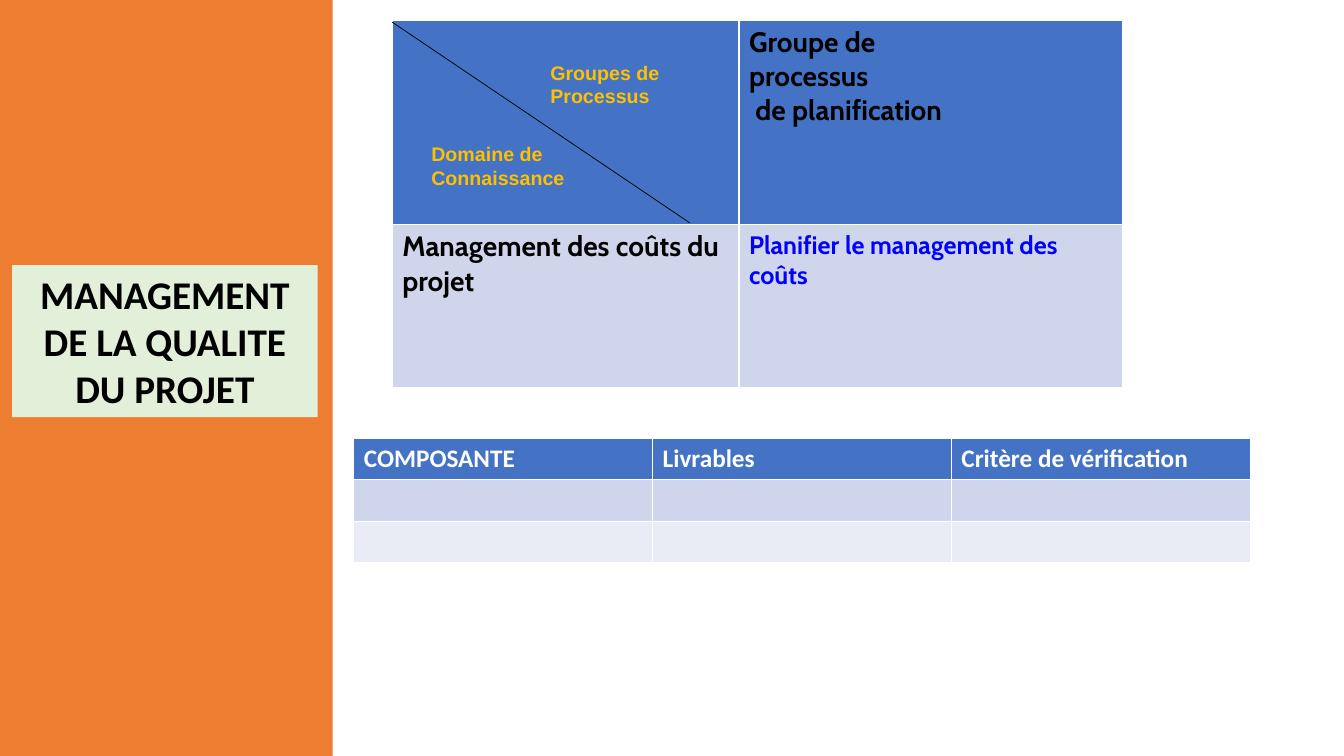
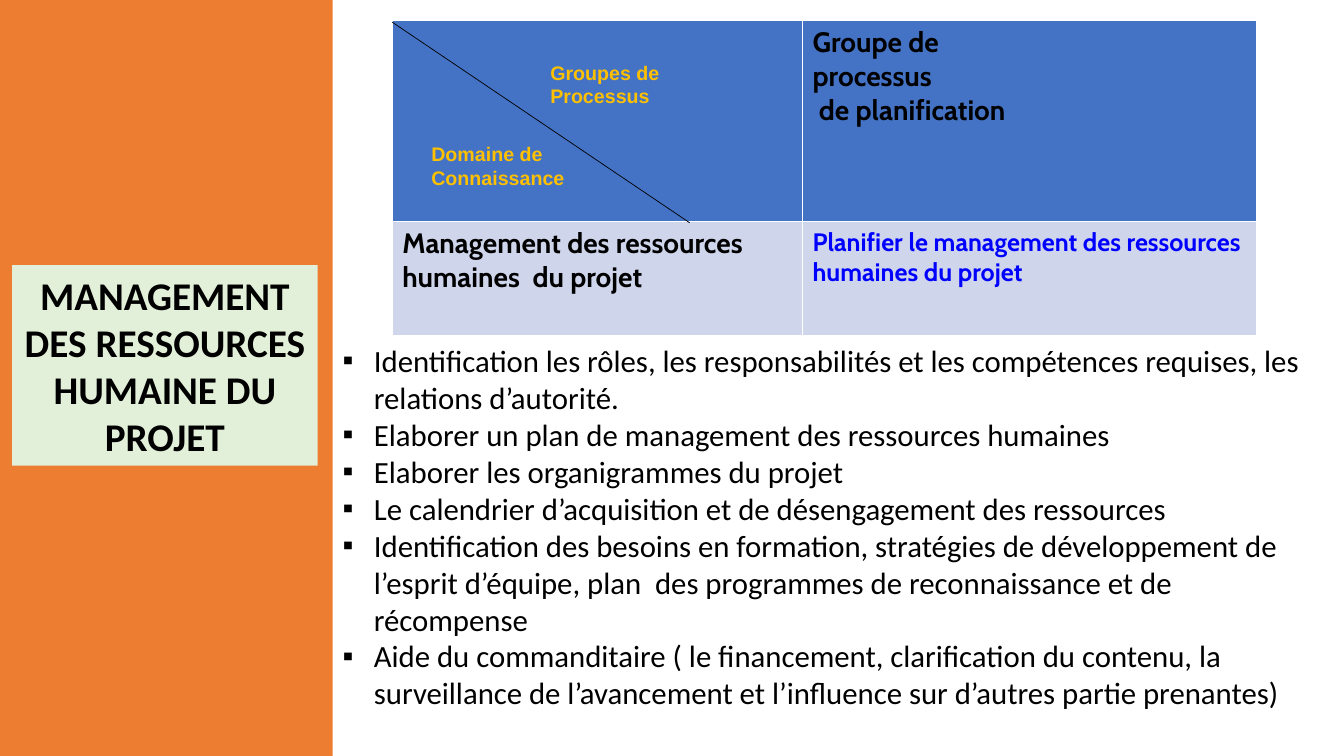
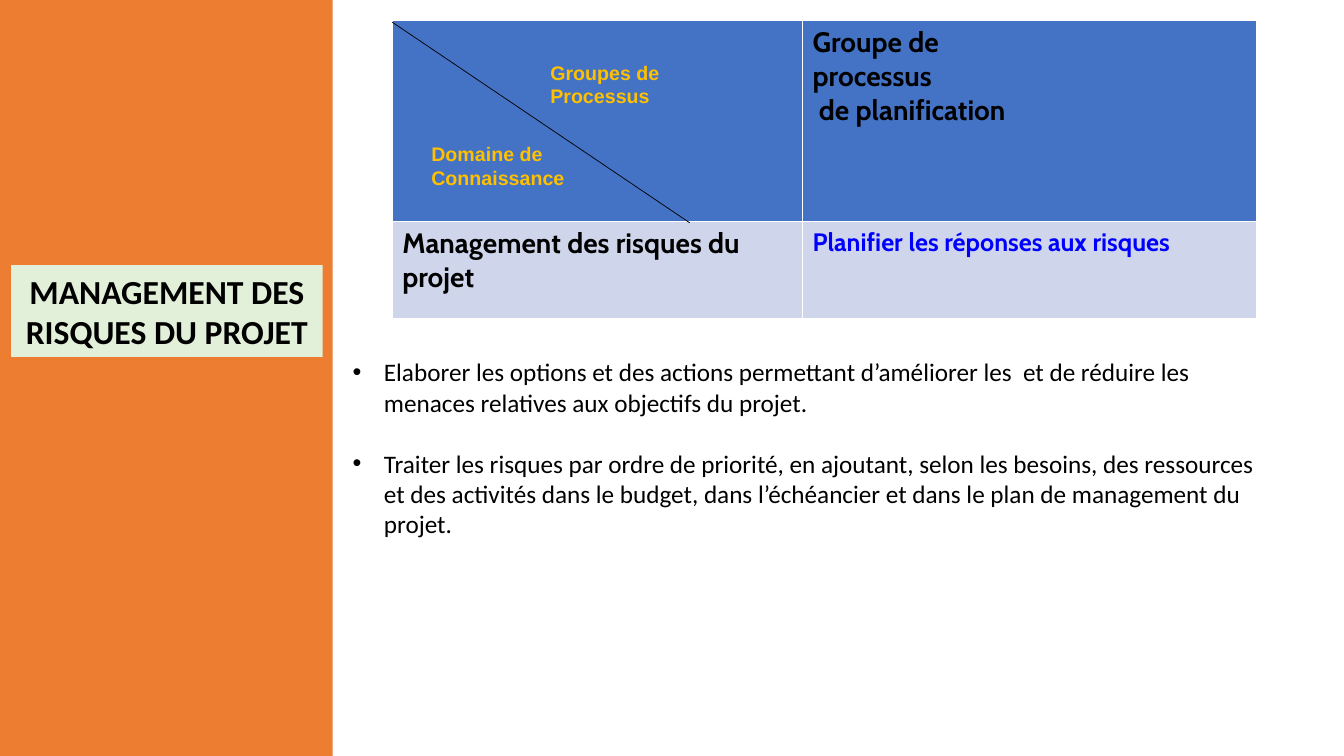
from lxml import etree
from pptx import Presentation
from pptx.dml.color import RGBColor
from pptx.enum.shapes import MSO_CONNECTOR, MSO_SHAPE
from pptx.enum.text import MSO_ANCHOR, MSO_AUTO_SIZE, PP_ALIGN
from pptx.oxml.ns import qn
from pptx.util import Pt

RECT = MSO_SHAPE.RECTANGLE
LINE = MSO_CONNECTOR.STRAIGHT
LEFT, CENTER = PP_ALIGN.LEFT, PP_ALIGN.CENTER
MIDDLE = MSO_ANCHOR.MIDDLE
FIXED, GROW = MSO_AUTO_SIZE.NONE, MSO_AUTO_SIZE.SHAPE_TO_FIT_TEXT

# Shared look; 100 px make one inch
PX = 9144
WIDE, HIGH = 1333, 750
BAND = 330
TITLE_TOP = 263
ORANGE, GREEN, BLUE = "ED7D31", "E2F0D9", "4472C4"
PALE, FAINT = "CFD5EA", "E9EBF5"
BLACK, WHITE, GOLD, LINK = "000000", "FFFFFF", "FFC000", "0000FF"
BODY, HEAD, LABEL = "Calibri", "Cabin", "Arial"


def px(*nums):
    return [round(n * PX) for n in nums]


def color(code):
    return RGBColor.from_string(code)


def paint(part, code):
    part.fill.solid()
    part.fill.fore_color.rgb = color(code)


def write(frame, lines, size=18, font=BODY, tint=BLACK, bold=False,
          align=LEFT, mark=None, left=0, hang=0, gap=0):
    """Fill a text frame, one paragraph for each line."""
    frame.word_wrap = True
    for i, line in enumerate(lines):
        para = frame.add_paragraph() if i else frame.paragraphs[0]
        para.text = line
        para.alignment = align
        para.line_spacing = 1.0
        para.space_before = Pt(gap if i else 0)
        props = para._p.get_or_add_pPr()
        props.set("marL", str(left * PX))
        props.set("indent", str(-hang * PX))
        if mark:
            etree.SubElement(props, qn("a:buFont")).set("typeface", LABEL)
            etree.SubElement(props, qn("a:buChar")).set("char", mark)
        for run in para.runs:
            run.font.size = Pt(size)
            run.font.name = font
            run.font.bold = bold
            run.font.color.rgb = color(tint)


def text_box(slide, box, lines, **style):
    frame = slide.shapes.add_textbox(*px(*box)).text_frame
    write(frame, lines, **style)
    frame.auto_size = GROW


def side_band(slide, text, box, size=28):
    """Orange band with the title on a green panel."""
    title = slide.shapes.title
    band = slide.shapes.add_shape(RECT, *px(0, 0, BAND, HIGH))
    band.shadow.inherit = False
    paint(band, ORANGE)
    band.line.fill.background()
    title.element.addprevious(band.element)  # band goes behind the title

    title.left, title.top, title.width, title.height = px(*box)
    paint(title, GREEN)
    frame = title.text_frame
    frame.auto_size = FIXED
    frame.vertical_anchor = MIDDLE
    write(frame, [text], size=size, bold=True, align=CENTER)


def grid(slide, x, y, cols, rows, fills):
    """Table with one fill for each row."""
    box = px(x, y, sum(cols), sum(rows))
    table = slide.shapes.add_table(len(rows), len(cols), *box).table
    for col, wide in zip(table.columns, px(*cols)):
        col.width = wide
    for row, high, fill in zip(table.rows, px(*rows), fills):
        row.height = high
        for cell in row.cells:
            paint(cell, fill)
    return table


def matrix(slide, x, y, cols, rows, domain, process):
    """Process matrix with a split corner cell."""
    table = grid(slide, x, y, cols, rows, [BLUE, PALE])
    group = "Groupe de \nprocessus\n de planification"
    for r, c, text, size, tint in ((0, 1, group, 20, BLACK),
                                   (1, 0, domain, 20, BLACK),
                                   (1, 1, process, 18, LINK)):
        write(table.cell(r, c).text_frame, [text], size=size, font=HEAD,
              tint=tint, bold=True)

    # Diagonal and its two labels
    line = slide.shapes.add_connector(LINE, *px(x, y + 2, x + 295, y + 201))
    line.line.color.rgb = color(BLACK)
    line.line.width = Pt(0.5)
    etree.SubElement(line._element.spPr, qn("a:effectLst"))
    for dx, dy, wide, lines in ((59, 35, 236, ["Groupes de", "Processus"]),
                                (-59, 116, 260, ["Domaine de", "Connaissance"])):
        text_box(slide, (x + dx, y + dy, wide, 81), lines, size=14,
                 font=LABEL, tint=GOLD, bold=True, left=88)


def bullets(slide, box, lines, **style):
    text_box(slide, box, lines, left=31, hang=31, **style)


def checks(slide, x, y, wide, heads):
    """Table of deliverables with empty rows."""
    cols = [wide / len(heads)] * len(heads)
    table = grid(slide, x, y, cols, [41] * 3, [BLUE, PALE, FAINT])
    for cell, head in zip(table.rows[0].cells, heads):
        write(cell.text_frame, [head], tint=WHITE, bold=True)


def main():
    deck = Presentation()
    deck.slide_width, deck.slide_height = px(WIDE, HIGH)
    layout = deck.slide_layouts[5]
    broad = (407, 450)

    # Quality
    slide = deck.slides.add_slide(layout)
    side_band(slide, "MANAGEMENT DE LA QUALITE DU PROJET",
              (12, TITLE_TOP, 303, 151))
    matrix(slide, 389, 20, (344, 380), (203, 162),
           "Management des coûts du projet",
           "Planifier le management des coûts")
    checks(slide, 351, 435, 889,
           ["COMPOSANTE", "Livrables", "Critère de vérification"])

    # Human resources
    slide = deck.slides.add_slide(layout)
    side_band(slide, "MANAGEMENT DES RESSOURCES HUMAINE DU PROJET",
              (12, TITLE_TOP, 303, 199))
    matrix(slide, 389, 20, broad, (200, 113),
           "Management des ressources humaines  du projet",
           "Planifier le management des ressources humaines du projet")
    bullets(slide, (330, 334, 985, 417), [
        "Identification les rôles, les responsabilités et les compétences "
        "requises, les relations d’autorité.",
        "Elaborer un plan de management des ressources humaines",
        "Elaborer les organigrammes du projet",
        "Le calendrier d’acquisition et de désengagement des ressources",
        "Identification des besoins en formation, stratégies de développement "
        "de l’esprit d’équipe, plan  des programmes de reconnaissance et de "
        "récompense",
        "Aide du commanditaire ( le financement, clarification du contenu, la "
        "surveillance de l’avancement et l’influence sur d’autres partie "
        "prenantes)",
    ], size=22, mark="▪")

    # Risks
    slide = deck.slides.add_slide(layout)
    side_band(slide, "MANAGEMENT DES RISQUES DU PROJET",
              (11, TITLE_TOP, 309, 91), size=24)
    matrix(slide, 389, 20, broad, (200, 96),
           "Management des risques du projet",
           "Planifier les réponses aux risques")
    bullets(slide, (340, 349, 914, 192), [
        "Elaborer les options et des actions permettant d’améliorer les  et "
        "de réduire les menaces relatives aux objectifs du projet.",
        "Traiter les risques par ordre de priorité, en ajoutant, selon les "
        "besoins, des ressources et des activités dans le budget, dans "
        "l’échéancier et dans le plan de management du projet.",
    ], mark="•", gap=22)

    deck.save("out.pptx")


if __name__ == "__main__":
    main()
